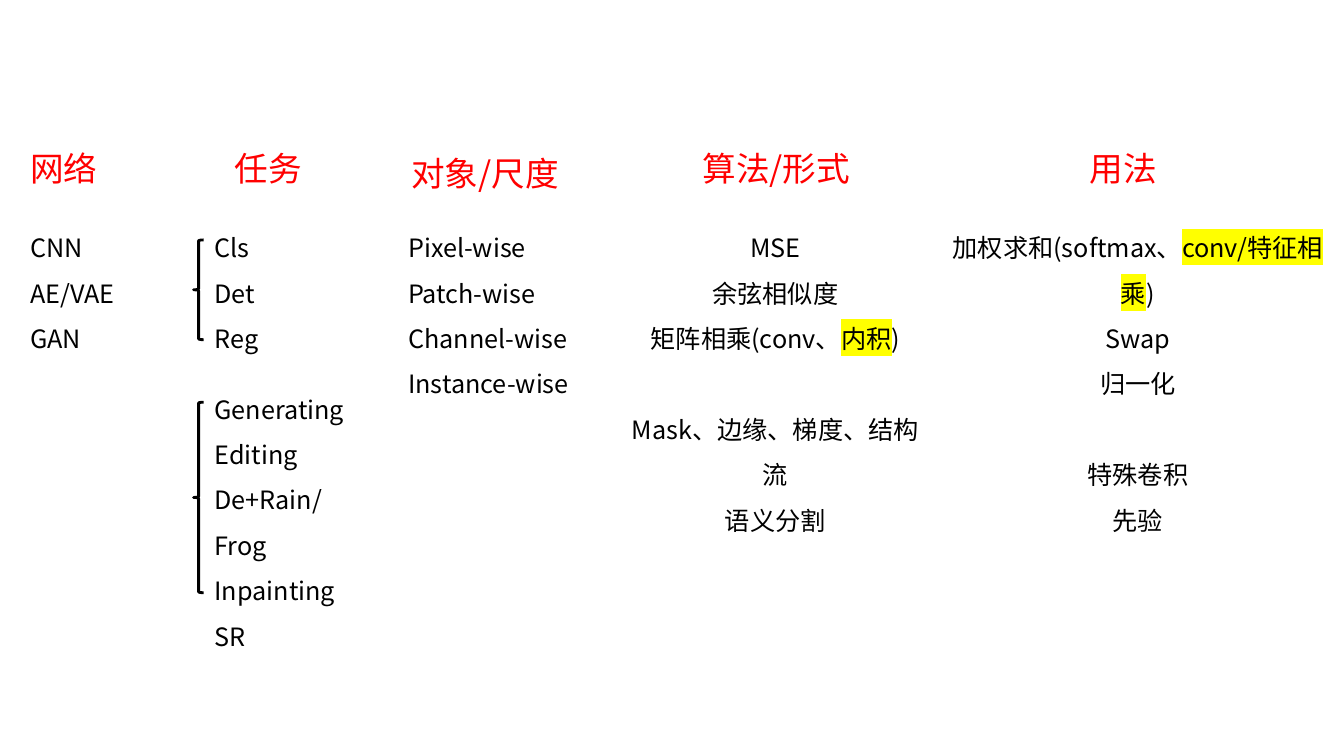
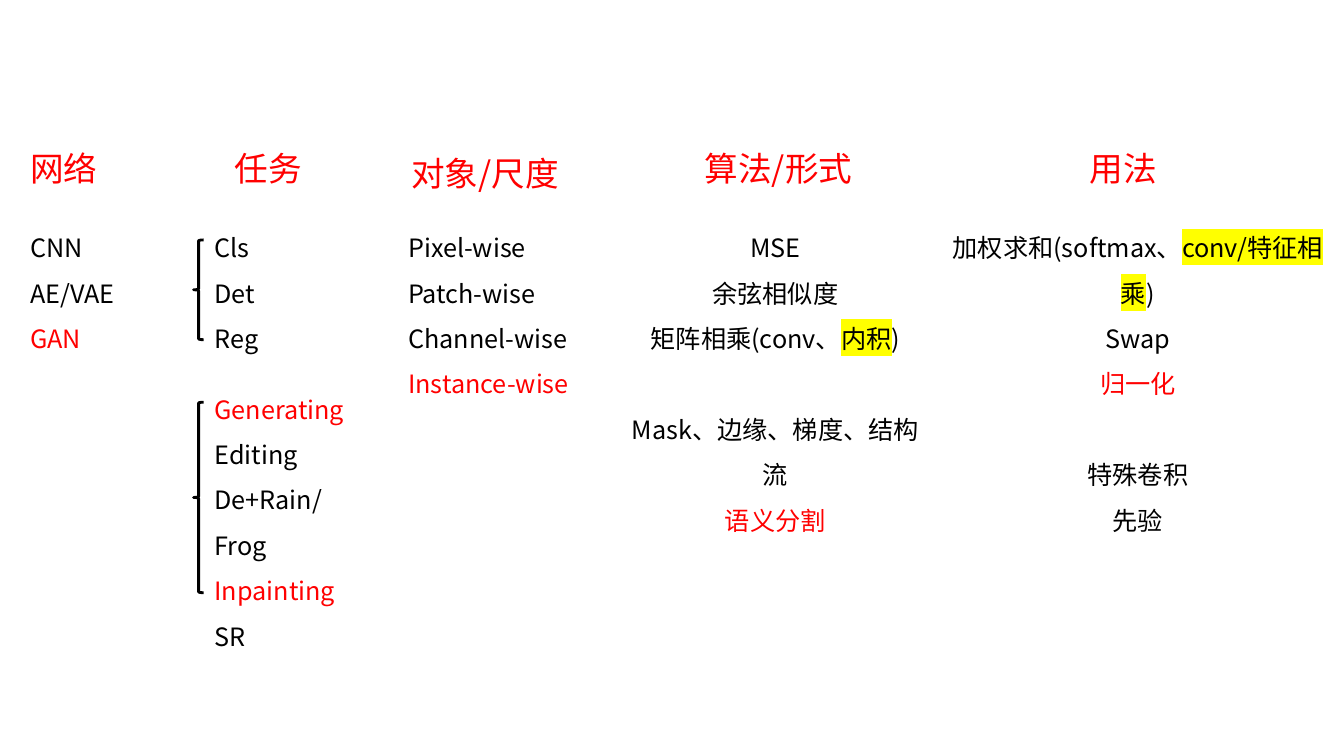
"""Two slides listing networks, tasks, scales, algorithms and uses; the second marks a choice in red."""
from pptx import Presentation, util as u
from pptx.dml.color import RGBColor
from pptx.enum import shapes, text
from pptx.oxml.ns import qn
from lxml import etree

PX = 9144
FONT = "Noto Sans CJK SC"
COLORS = {"red": "FF0000", "black": "000000", "mark": "FFFF00"}
LEFT, CENTER = text.PP_ALIGN.LEFT, text.PP_ALIGN.CENTER
TITLE = {"size": u.Pt(24), "name": FONT}
BODY = {"size": u.Pt(18), "name": FONT}

COLUMNS = [
    (20, 116, LEFT, ["CNN", "AE/VAE", "GAN"]),
    (203, 175, LEFT, ["Cls", "Det", "Reg", "Generating", "Editing",
                      "De+Rain/Frog", "Inpainting", "SR"]),
    (395, 189, LEFT, ["Pixel-wise", "Patch-wise", "Channel-wise", "Instance-wise"]),
    (605, 328, CENTER, ["MSE", "余弦相似度", "矩阵相乘(conv、|内积|)",
                        "Mask、边缘、梯度、结构流", "语义分割"]),
    (924, 409, CENTER, ["加权求和(softmax、|conv/特征相乘|)", "Swap", "归一化",
                        "特殊卷积", "先验"]),
]
GAPS = {"Generating": 18, "Mask、边缘、梯度、结构流": 32.4, "特殊卷积": 32.4}
BRACES = [(238, 99), (399, 189)]
SLIDES = [
    (687, set()),
    (689, {"GAN", "Generating", "Inpainting", "Instance-wise", "语义分割", "归一化"}),
]


def add_text(s, x, y, w, h):
    tf = s.shapes.add_textbox(x * PX, y * PX, w * PX, h * PX).text_frame
    tf.word_wrap = True
    tf.auto_size = text.MSO_AUTO_SIZE.SHAPE_TO_FIT_TEXT
    return tf


def add_run(p, words, style, color, marked=False):
    r = p.add_run()
    r.text = words
    for key, value in style.items():
        setattr(r.font, key, value)
    r.font.color.rgb = RGBColor.from_string(COLORS[color])
    rpr = r.font._element
    latin = rpr.find(qn("a:latin"))
    ea = etree.Element(qn("a:ea"), typeface=FONT)
    latin.addnext(ea)
    if marked:
        highlight = etree.Element(qn("a:highlight"))
        etree.SubElement(highlight, qn("a:srgbClr"), val=COLORS["mark"])
        latin.addprevious(highlight)


prs = Presentation()
prs.slide_width, prs.slide_height = 1333 * PX, 750 * PX

for algorithm_x, chosen in SLIDES:
    s = prs.slides.add_slide(prs.slide_layouts[6])

    titles = [(20, 142, 116, "网络"), (223, 142, 116, "任务"),
              (398, 147, 175, "对象/尺度"), (algorithm_x, 142, 189, "算法/形式"),
              (1071, 142, 116, "用法")]
    for x, y, w, words in titles:
        tf = add_text(s, x, y, w, 50)
        add_run(tf.paragraphs[0], words, TITLE, "red")

    for x, w, align, lines in COLUMNS:
        height = 10 + 45 * len(lines) + sum(GAPS.get(line, 0) for line in lines) / 0.72
        tf = add_text(s, x, 211, w, round(height))
        for i, line in enumerate(lines):
            p = tf.add_paragraph() if i else tf.paragraphs[0]
            p.alignment = align
            p.line_spacing = 1.5
            if line in GAPS:
                p.space_before = u.Pt(GAPS[line])
            color = "red" if line in chosen else "black"
            for j, words in enumerate(line.split("|")):
                add_run(p, words, BODY, color, marked=j % 2 == 1)

    for y, h in BRACES:
        sp = s.shapes.add_shape(shapes.MSO_SHAPE.LEFT_BRACE, 192 * PX, y * PX, 10 * PX, h * PX)
        sp.shadow.inherit = False
        sp.fill.background()
        sp.line.color.rgb = RGBColor.from_string(COLORS["black"])
        sp.line.width = u.Pt(2)

prs.save("out.pptx")
